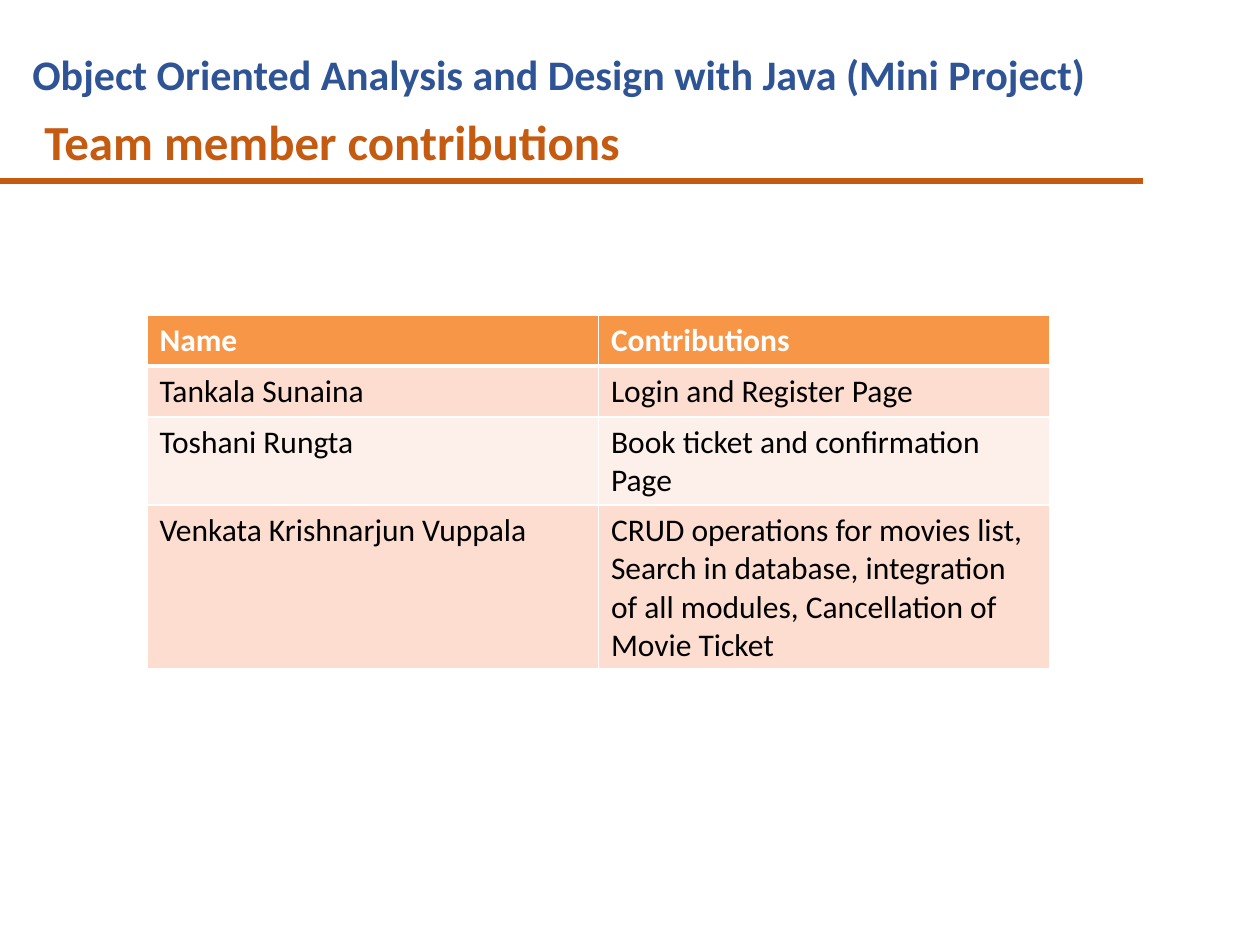
from dataclasses import dataclass

from lxml.etree import SubElement
from pptx import Presentation
from pptx.dml.color import RGBColor
from pptx.enum.shapes import MSO_CONNECTOR
from pptx.oxml.ns import qn
from pptx.util import Emu, Pt

PX_PER_INCH = 126


def px(length):
    return Emu(round(length * 914400 / PX_PER_INCH))


@dataclass(frozen=True)
class Theme:
    font: str = "Calibri"
    blue: str = "2F5496"
    rust: str = "C55A11"
    header_fill: str = "F79646"
    bands: tuple = ("FCDDCF", "FDEFE9")
    white: str = "FFFFFF"
    black: str = "000000"
    course_size: int = 24
    title_size: int = 28
    table_size: int = 18
    rule_width: int = 3
    border_width: int = 1
    header_border_width: int = 3


class SlideBuilder:
    def __init__(self, deck, theme):
        self.theme = theme
        self.page = deck.slides.add_slide(deck.slide_layouts[6])

    def add_text(self, frame, text, size, color, bold):
        span = frame.paragraphs[0].add_run()
        span.text = text
        span.font.color.rgb = RGBColor.from_string(color)
        font_format = {"name": self.theme.font, "size": Pt(size), "bold": bold}
        for name, value in font_format.items():
            setattr(span.font, name, value)

    def heading(self, text, left, top, width, height, size, color):
        box = self.page.shapes.add_textbox(*map(px, (left, top, width, height)))
        box.text_frame.word_wrap = True
        self.add_text(box.text_frame, text, size, color, True)

    def rule(self, left, right, top):
        line = self.page.shapes.add_connector(
            MSO_CONNECTOR.STRAIGHT, px(left), px(top), px(right), px(top))
        line.line.color.rgb = RGBColor.from_string(self.theme.rust)
        line.line.width = Pt(self.theme.rule_width)
        SubElement(line._element.spPr, qn("a:effectLst"))

    def border(self, cell, side, width):
        properties = cell._tc.get_or_add_tcPr()
        edge = SubElement(properties, qn(f"a:ln{side}"), w=str(Pt(width)))
        fill = SubElement(edge, qn("a:solidFill"))
        SubElement(fill, qn("a:srgbClr"), val=self.theme.white)

    def table(self, rows, left, top, width, row_height):
        theme = self.theme
        shape = self.page.shapes.add_table(
            len(rows), len(rows[0]), px(left), px(top), px(width),
            px(row_height * len(rows)))
        for row_index, row in enumerate(rows):
            header = row_index == 0
            fill = theme.header_fill if header else theme.bands[(row_index - 1) % 2]
            color = theme.white if header else theme.black
            thick, thin = theme.header_border_width, theme.border_width
            widths = {"L": thin, "R": thin,
                      "T": thick if row_index == 1 else thin,
                      "B": thick if header else thin}
            for column_index, text in enumerate(row):
                cell = shape.table.cell(row_index, column_index)
                for side, border_width in widths.items():
                    self.border(cell, side, border_width)
                cell.fill.solid()
                cell.fill.fore_color.rgb = RGBColor.from_string(fill)
                self.add_text(cell.text_frame, text, theme.table_size, color, header)


def main():
    deck = Presentation()
    deck.slide_width, deck.slide_height = px(1260), px(945)
    theme = Theme()
    slide = SlideBuilder(deck, theme)

    slide.rule(-1, 1143, 181)
    slide.heading("Object Oriented Analysis and Design with Java (Mini Project)",
                  20, 42, 1119, 63, theme.course_size, theme.blue)
    slide.heading("Team member contributions",
                  32, 105, 1050, 72, theme.title_size, theme.rust)
    slide.table([
        ("Name", "Contributions"),
        ("Tankala Sunaina", "Login and Register Page"),
        ("Toshani Rungta", "Book ticket and confirmation Page"),
        ("Venkata Krishnarjun Vuppala",
         "CRUD operations for movies list, Search in database, "
         "integration of all modules, Cancellation of Movie Ticket"),
    ], 147, 315, 903, 51)
    deck.save("out.pptx")


if __name__ == "__main__":
    main()
